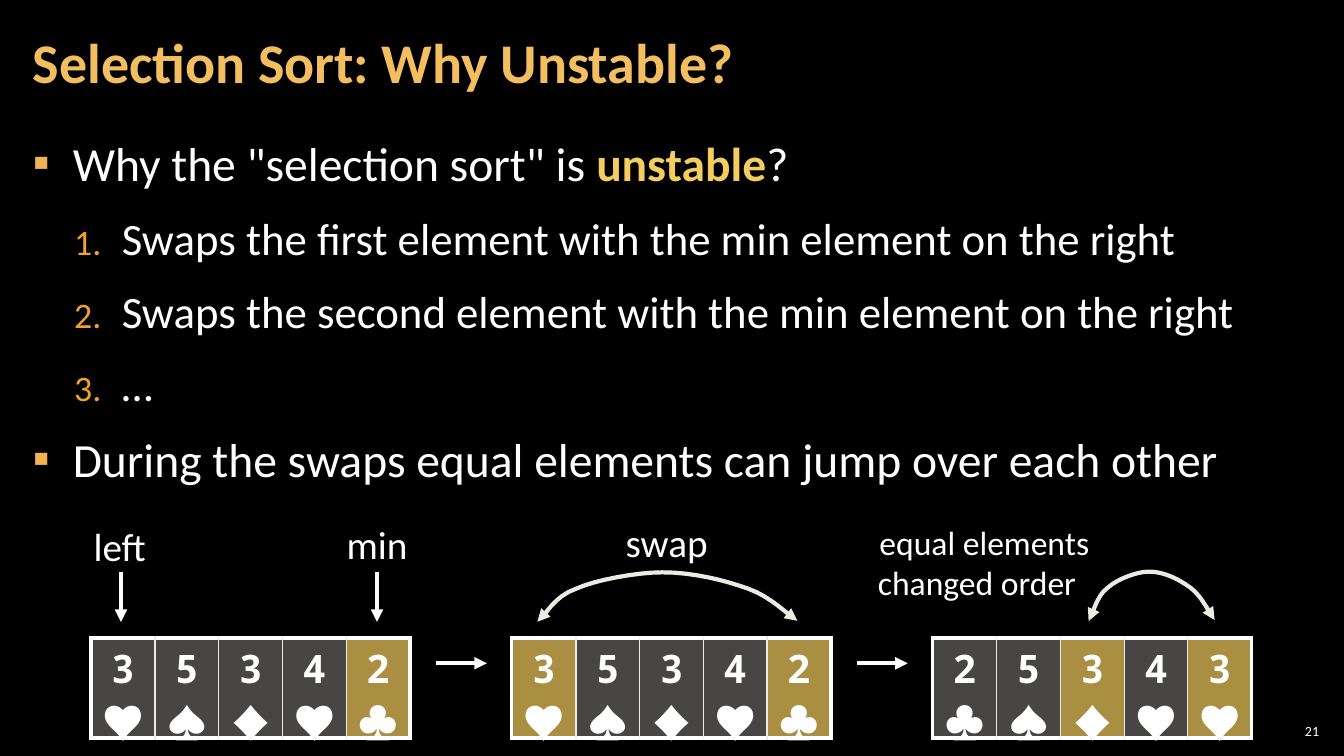
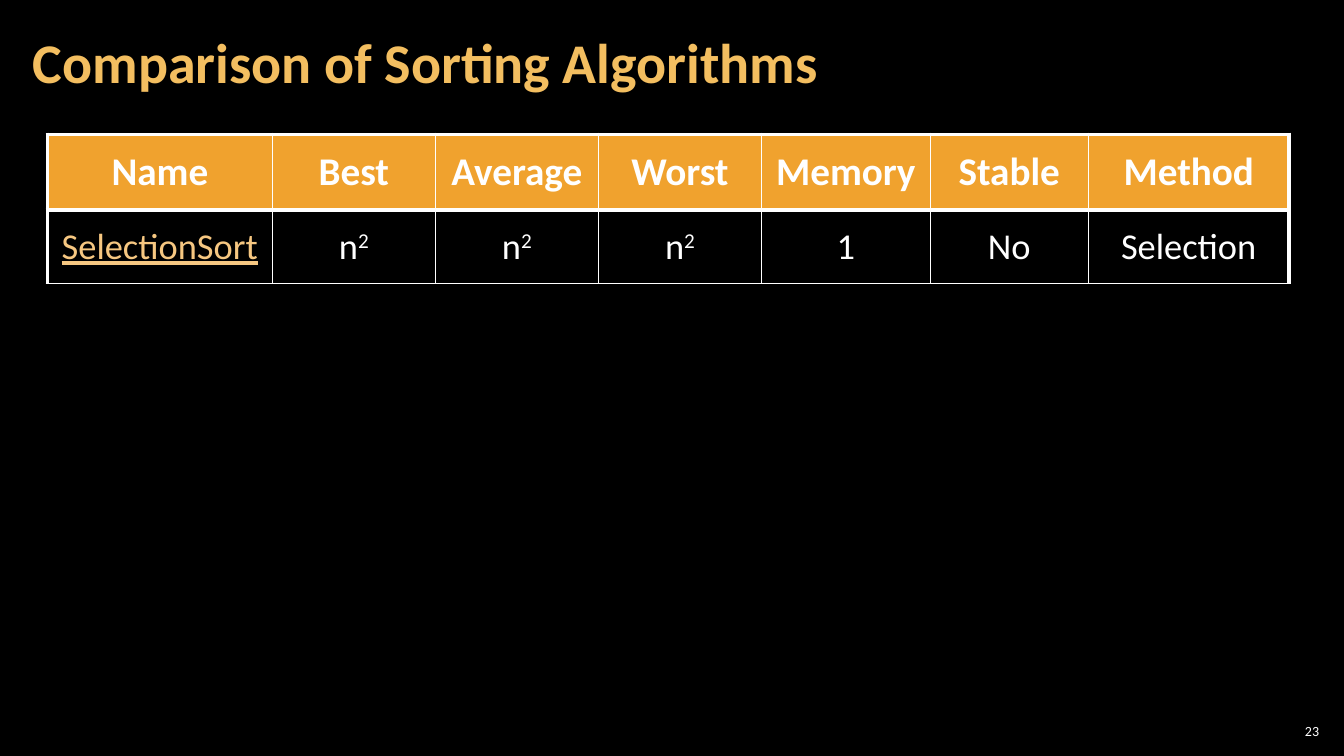
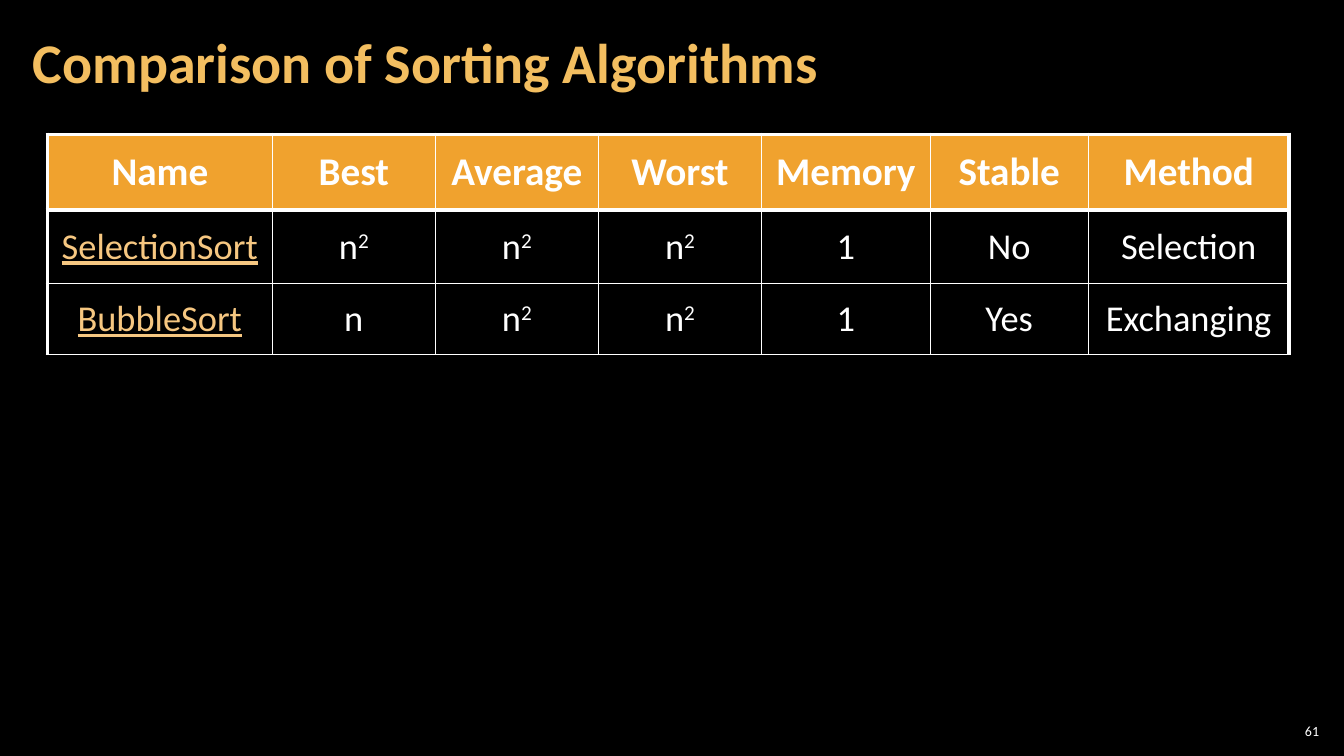
from lxml import etree
from pptx import Presentation
from pptx.dml.color import RGBColor
from pptx.enum.shapes import MSO_CONNECTOR
from pptx.enum.text import MSO_ANCHOR, PP_ALIGN
from pptx.oxml.ns import qn
from pptx.util import Pt

LEFT, CENTER, RIGHT = PP_ALIGN.LEFT, PP_ALIGN.CENTER, PP_ALIGN.RIGHT
TOP, MIDDLE = MSO_ANCHOR.TOP, MSO_ANCHOR.MIDDLE
STRAIGHT = MSO_CONNECTOR.STRAIGHT

COLORS = {
    "black": "000000", "white": "FFFFFF", "title": "F3BE60",
    "bullet": "F2B254", "orange": "F0A22E", "gold": "F3CD60",
    "cream": "ECEAE3", "link": "F6C781",
}
TEXT_FONT, CARD_FONT = "Calibri", "Noto Sans Mono"

# Cubic curve of a swap arrow, as fractions of its box
SWAP_CURVE = [
    (0, 1), (0.03, 0.9), (0.06, 0.49), (0.15, 0.33), (0.22, 0.16), (0.38, 0),
    (0.48, 0), (0.6, 0), (0.72, 0.16), (0.81, 0.33), (0.9, 0.5), (0.96, 0.85),
    (1, 0.98),
]
CURVE_STEPS = 8

COLUMN_WIDTHS = [160.5, 116.5, 116.5, 116.5, 120.5, 113, 143.5]
ROW_HEIGHTS = [54, 52.5, 51]
HEADINGS = ["Name", "Best", "Average", "Worst", "Memory", "Stable", "Method"]
SELECTION = ["SelectionSort", "n²", "n²", "n²", "1", "No", "Selection"]
BUBBLE = ["BubbleSort", "n", "n²", "n²", "1", "Yes", "Exchanging"]


def color(name):
    return RGBColor.from_string(COLORS[name])


def add_element(parent, tag, **attributes):
    element = etree.SubElement(parent, qn(tag))
    for name, value in attributes.items():
        element.set(name, str(value))
    return element


def add_span(para, text, size=28, fill="white", bold=False, font=TEXT_FONT,
             underline=False, raised=False):
    span = para.add_run()
    span.text = text
    span.font.size = Pt(size)
    span.font.name = font
    span.font.bold = bold
    span.font.underline = underline
    span.font.color.rgb = color(fill)
    if raised:
        span.font._element.set("baseline", "30000")
    return span


def add_box(page, box, anchor=TOP, wrap=True, insets=(7.2, 3.6)):
    frame = page.shapes.add_textbox(*map(Pt, box)).text_frame
    frame.word_wrap = wrap
    frame.vertical_anchor = anchor
    frame.margin_left = frame.margin_right = Pt(insets[0])
    frame.margin_top = frame.margin_bottom = Pt(insets[1])
    return frame


def add_text(page, box, text, align=LEFT, spacing=None, anchor=TOP, wrap=True,
             insets=(7.2, 3.6), **style):
    para = add_box(page, box, anchor, wrap, insets).paragraphs[0]
    para.alignment = align
    if spacing:
        para.line_spacing = spacing
    add_span(para, text, **style)


def add_page(deck, title, number):
    page = deck.slides.add_slide(deck.slide_layouts[6])
    page.background.fill.solid()
    page.background.fill.fore_color.rgb = color("black")
    add_text(page, (911, 514, 34, 15.5), number, align=RIGHT, anchor=MIDDLE,
             insets=(2.8, 2.8), size=10)
    add_text(page, (15, 3, 754, 87), title, spacing=0.9, anchor=MIDDLE,
             insets=(8.5, 2.8), size=40, fill="title", bold=True)
    return page


# Bulleted text

def add_bullets(page, box, items):
    """Each item is a level and a list of (text, format) spans."""
    frame = add_box(page, box, insets=(8.5, 2.8))
    for index, (level, spans) in enumerate(items):
        para = frame.paragraphs[0] if index == 0 else frame.add_paragraph()
        para.level = level
        para.line_spacing = 1.05
        para.space_before = Pt(6 if index else 0)
        para.space_after = Pt(6)
        properties = para._p.get_or_add_pPr()
        margin, hang = (63.5, 34) if level else (28.5, 28.5)
        properties.set("marL", str(Pt(margin)))
        properties.set("indent", str(-Pt(hang)))
        tint = add_element(properties, "a:buClr")
        add_element(tint, "a:srgbClr", val=COLORS["orange" if level else "bullet"])
        if level:
            add_element(properties, "a:buSzPct", val=80000)
            add_element(properties, "a:buFont", typeface=TEXT_FONT)
            add_element(properties, "a:buAutoNum", type="arabicPeriod")
        else:
            add_element(properties, "a:buFont", typeface=TEXT_FONT)
            add_element(properties, "a:buChar", char="▪")
        for text, style in spans:
            add_span(para, text, size=32 if level else 34, **style)


# Tables

def add_plain_table(page, left, top, widths, heights):
    frame = page.shapes.add_table(len(heights), len(widths), Pt(left), Pt(top),
                                  Pt(sum(widths)), Pt(sum(heights)))
    table = frame.table
    table.first_row = table.horz_banding = False
    for column, width in zip(table.columns, widths):
        column.width = Pt(width)
    for row, height in zip(table.rows, heights):
        row.height = Pt(height)
    return table


def format_cell(cell, fill, borders, alpha=None):
    """Borders are (colour, width) pairs: left, right, top, bottom."""
    properties = cell._tc.get_or_add_tcPr()
    for side, (line_color, width) in zip("LRTB", borders):
        line = add_element(properties, f"a:ln{side}", w=Pt(width))
        paint = add_element(line, "a:solidFill")
        add_element(paint, "a:srgbClr", val=COLORS[line_color])
    paint = add_element(properties, "a:solidFill")
    tint = add_element(paint, "a:srgbClr", val=COLORS[fill])
    if alpha:
        add_element(tint, "a:alpha", val=alpha * 1000)


def add_cards(page, left, top, cards, marked):
    table = add_plain_table(page, left, top, [46] + [45.5] * 4, [29.5])
    thick, thin = ("white", 3), ("cream", 1)
    for index, card in enumerate(cards):
        cell = table.cell(0, index)
        para = cell.text_frame.paragraphs[0]
        para.alignment = CENTER
        para.line_spacing = 0.95
        add_span(para, card, bold=True, font=CARD_FONT)
        fill, alpha = ("gold", 70) if index in marked else ("cream", 30)
        borders = [thick if index == 0 else thin,
                   thick if index == len(cards) - 1 else thin, thick, thick]
        format_cell(cell, fill, borders, alpha)


def add_comparison(page, left, top, algorithms):
    rows = [HEADINGS] + algorithms
    table = add_plain_table(page, left, top, COLUMN_WIDTHS,
                            ROW_HEIGHTS[:len(rows)])
    thick, thin = ("white", 3), ("white", 1)
    for row, values in enumerate(rows):
        for column, value in enumerate(values):
            cell = table.cell(row, column)
            cell.vertical_anchor = MIDDLE
            para = cell.text_frame.paragraphs[0]
            para.alignment = CENTER
            if row == 0:
                style = {"size": 28, "bold": True}
            elif column == 0:
                style = {"size": 26, "fill": "link", "underline": True}
            else:
                style = {"size": 26}
            add_span(para, value.rstrip("²"), **style)
            if value.endswith("²"):
                add_span(para, "2", raised=True, **style)
            borders = [thick if column == 0 else thin,
                       thick if column == len(values) - 1 else thin,
                       thick if row <= 1 else thin,
                       thick if row == 0 else thin]
            format_cell(cell, "black" if row else "orange", borders)


# Arrows

def format_arrow(shape, line_color, ends):
    shape.line.color.rgb = color(line_color)
    shape.line.width = Pt(3)
    line = shape.line._get_or_add_ln()
    for end in ends:
        add_element(line, f"a:{end}End", type="triangle")


def add_arrow(page, left, top, width=0, height=0):
    arrow = page.shapes.add_connector(STRAIGHT, Pt(left), Pt(top),
                                      Pt(left + width), Pt(top + height))
    format_arrow(arrow, "white", ["tail"])
    add_element(arrow._element.spPr, "a:effectLst")


def curve_points(controls):
    """Points along the joined cubic curves."""
    points = [controls[0]]
    for first in range(0, len(controls) - 1, 3):
        for step in range(1, CURVE_STEPS + 1):
            t = step / CURVE_STEPS
            weights = ((1 - t) ** 3, 3 * t * (1 - t) ** 2,
                       3 * t ** 2 * (1 - t), t ** 3)
            parts = list(zip(weights, controls[first:first + 4]))
            points.append(tuple(sum(weight * point[axis] for weight, point in parts)
                                for axis in (0, 1)))
    return points


def add_swap_arrow(page, left, top, width, height):
    points = [(Pt(left + width * x), Pt(top + height * y))
              for x, y in curve_points(SWAP_CURVE)]
    builder = page.shapes.build_freeform(*points[0])
    builder.add_line_segments(points[1:], close=False)
    arrow = builder.convert_to_shape()
    arrow.fill.background()
    arrow.shadow.inherit = False
    format_arrow(arrow, "cream", ["head", "tail"])


# Slides

def add_card_steps(page, left, top):
    """Three states of the cards, with labels above and arrows between."""
    step = 300.6
    states = [
        (["3♥", "5♠", "3♦", "4♥", "2♣"], {4}),
        (["3♥", "5♠", "3♦", "4♥", "2♣"], {0, 4}),
        (["2♣", "5♠", "3♦", "4♥", "3♥"], {2, 4}),
    ]
    for index, (cards, marked) in enumerate(states):
        add_cards(page, left + index * step, top, cards, marked)
        if index:
            add_arrow(page, left + index * step - 53.6, top + 18, width=36)

    # Pointers to the first and the smallest card
    for text, label_x, label_y, width, arrow_x in [
            ("left", -5, -86.5, 52.5, 21.6), ("min", 175.7, -88, 58.3, 204.5)]:
        add_text(page, (left + label_x, top + label_y, width, 41), text, wrap=False)
        add_arrow(page, left + arrow_x, top - 47.5, height=36)

    # Swap and its effect
    add_swap_arrow(page, left + 319, top - 47, 185.8, 35.3)
    add_text(page, (left + 375, top - 89.3, 73.5, 41), "swap", wrap=False)
    add_swap_arrow(page, left + 712.8, top - 47.5, 90, 35.3)
    frame = add_box(page, (left + 555.2, top - 86.5, 166.3, 65.5), wrap=False)
    first, second = frame.paragraphs[0], frame.add_paragraph()
    first.alignment, second.alignment = CENTER, LEFT
    add_span(first, "equal elements", size=24)
    add_span(second, "changed order", size=24)


def add_unstable_page(deck):
    page = add_page(deck, "Selection Sort: Why Unstable?", "21")
    add_bullets(page, (15, 90.7, 929.5, 438.5), [
        (0, [('Why the "selection sort" is ', {}),
             ("unstable", {"fill": "gold", "bold": True}), ("?", {})]),
        (1, [("Swaps the first element with the min element on the right", {})]),
        (1, [("Swaps the second element with the min element on the right", {})]),
        (1, [("…", {})]),
        (0, [("During the swaps equal elements can jump over each other", {})]),
    ])
    add_card_steps(page, 64.8, 455.8)


def add_comparison_page(deck, number, algorithms):
    page = add_page(deck, "Comparison of Sorting Algorithms", number)
    add_comparison(page, 34, 96, algorithms)


def main():
    deck = Presentation()
    deck.slide_width, deck.slide_height = Pt(960), Pt(540)
    add_unstable_page(deck)
    add_comparison_page(deck, "23", [SELECTION])
    add_comparison_page(deck, "61", [SELECTION, BUBBLE])
    deck.save("out.pptx")


if __name__ == "__main__":
    main()
